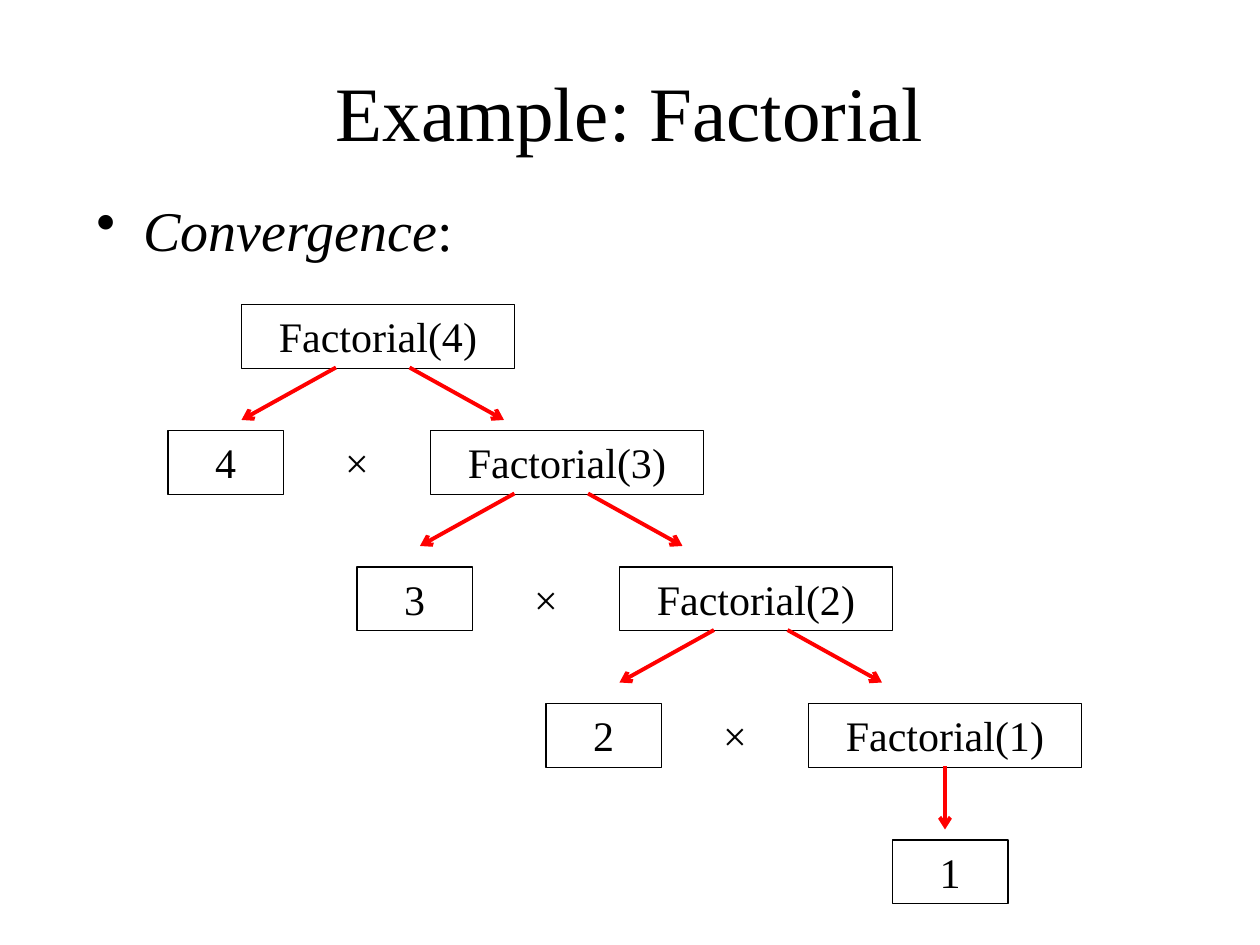
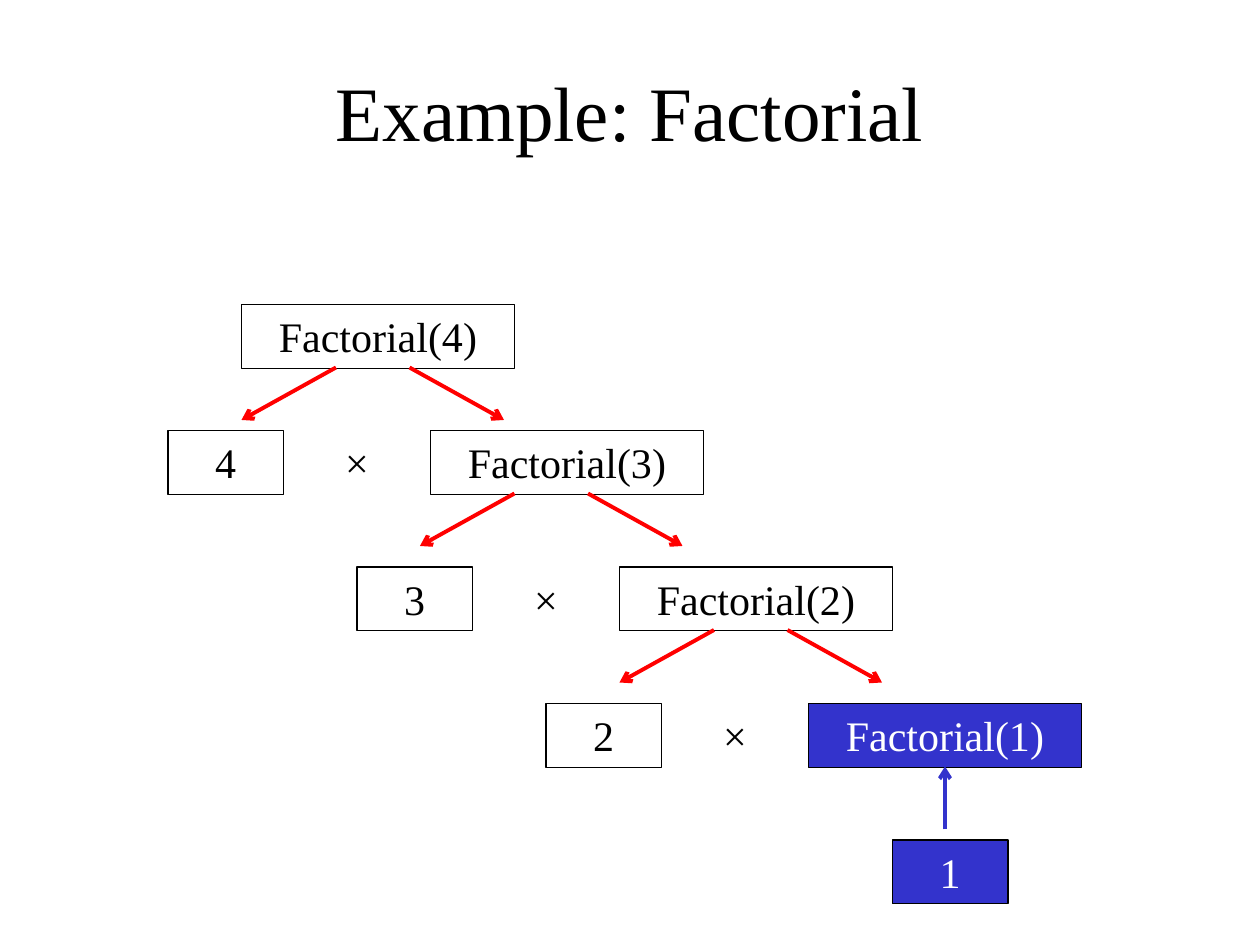
from dataclasses import dataclass

from lxml.etree import SubElement
from pptx import Presentation
from pptx.dml.color import RGBColor
from pptx.enum.shapes import MSO_CONNECTOR, MSO_SHAPE
from pptx.enum.text import MSO_ANCHOR, PP_ALIGN
from pptx.oxml.ns import qn
from pptx.shapes.base import BaseShape
from pptx.slide import Slide
from pptx.text.text import TextFrame
from pptx.util import Pt


@dataclass(frozen=True)
class Theme:
    font: str = "Times New Roman"
    ink: str = "000000"
    paper: str = "FFFFFF"
    call_arrow: str = "FF0000"
    returned: str = "3333CC"
    title_size: float = 44
    body_size: float = 32
    node_size: float = 24
    border: float = 0.75
    arrow: float = 2.25


@dataclass(frozen=True)
class Call:
    """One recursive call; fork_shift moves the arrows that leave its box."""
    number: int
    left: float
    top: float
    fork_shift: float = 0

    @property
    def label(self) -> str:
        return f"Factorial({self.number})"


THEME = Theme()
CALL_WIDTH, VALUE_WIDTH, TIMES_WIDTH, NODE_HEIGHT = 156, 66, 60, 36.5
CALL_STEP = 108
CALL_TOPS = (174, 246, 324, 402)
FORK_SHIFTS = {3: -6}
CALLS = [
    Call(4 - level, 138 + level * CALL_STEP, top, FORK_SHIFTS.get(4 - level, 0))
    for level, top in enumerate(CALL_TOPS)
]


def color(value: str) -> RGBColor:
    return RGBColor.from_string(value)


def write(frame: TextFrame, text: str, *, size: float = THEME.node_size,
          ink: str = THEME.ink, italic: bool = False,
          align: PP_ALIGN = PP_ALIGN.CENTER,
          anchor: MSO_ANCHOR = MSO_ANCHOR.TOP) -> None:
    """Append a formatted run to the first paragraph of the frame."""
    frame.word_wrap = True
    frame.vertical_anchor = anchor
    para = frame.paragraphs[0]
    para.alignment = align
    span = para.add_run()
    span.text = text
    span.font.name = THEME.font
    span.font.size = Pt(size)
    span.font.italic = italic
    span.font.color.rgb = color(ink)


def add_text_box(page: Slide, left: float, top: float, width: float,
                 height: float) -> BaseShape:
    return page.shapes.add_textbox(Pt(left), Pt(top), Pt(width), Pt(height))


def add_node(page: Slide, text: str, left: float, top: float, width: float,
             returned: bool = False) -> None:
    box = page.shapes.add_shape(MSO_SHAPE.RECTANGLE, Pt(left), Pt(top),
                                Pt(width), Pt(NODE_HEIGHT))
    box.shadow.inherit = False
    box.line.color.rgb = color(THEME.ink)
    box.line.width = Pt(THEME.border)
    if returned:
        box.fill.solid()
        box.fill.fore_color.rgb = color(THEME.returned)
    else:
        box.fill.background()
    write(box.text_frame, text, ink=THEME.paper if returned else THEME.ink)


def add_arrow(page: Slide, start: tuple[float, float], end: tuple[float, float],
              ink: str = THEME.call_arrow) -> None:
    arrow = page.shapes.add_connector(MSO_CONNECTOR.STRAIGHT,
                                      *(Pt(value) for value in start + end))
    arrow.line.color.rgb = color(ink)
    arrow.line.width = Pt(THEME.arrow)
    SubElement(arrow.line._get_or_add_ln(), qn("a:tailEnd"), type="arrow")
    SubElement(arrow._element.spPr, qn("a:effectLst"))


def add_fork(page: Slide, caller: Call) -> None:
    left, top = caller.left + caller.fork_shift, caller.top
    for start, end in ((54, 0), (96, 150)):
        add_arrow(page, (left + start, top + 36), (left + end, top + 66))


def add_product(page: Slide, caller: Call, call: Call, returned: bool) -> None:
    """Draw the caller's number times the next call, with arrows from the caller."""
    add_node(page, call.label, call.left, call.top, CALL_WIDTH, returned)
    add_node(page, str(caller.number), call.left - 150, call.top, VALUE_WIDTH)
    times = add_text_box(page, call.left - 72, call.top, TIMES_WIDTH, 36)
    write(times.text_frame, "×")
    add_fork(page, caller)


def add_base_case(page: Slide, call: Call, returned: bool) -> None:
    add_node(page, "1", call.left + 48, call.top + 78, VALUE_WIDTH, returned)
    center = call.left + CALL_WIDTH / 2
    upper, lower = (center, call.top + 36), (center, call.top + 72)
    if returned:
        add_arrow(page, lower, upper, THEME.returned)
    else:
        add_arrow(page, upper, lower)


def add_call_tree(page: Slide, returned: bool) -> None:
    first, last = CALLS[0], CALLS[-1]
    add_node(page, first.label, first.left, first.top, CALL_WIDTH)
    for caller, call in zip(CALLS, CALLS[1:]):
        add_product(page, caller, call, returned and call is last)
    add_base_case(page, last, returned)


def add_bullet(page: Slide) -> None:
    frame = add_text_box(page, 48, 108, 612, 60).text_frame
    write(frame, "Convergence", size=THEME.body_size, italic=True,
          align=PP_ALIGN.LEFT)
    write(frame, ":", size=THEME.body_size, align=PP_ALIGN.LEFT)
    properties = frame.paragraphs[0]._p.get_or_add_pPr()
    properties.set("marL", str(Pt(27)))
    properties.set("indent", str(Pt(-27)))
    SubElement(properties, qn("a:buChar"), char="•")


def add_page(deck: Presentation, title: str) -> Slide:
    page = deck.slides.add_slide(deck.slide_layouts[6])
    page.background.fill.solid()
    page.background.fill.fore_color.rgb = color(THEME.paper)
    heading = add_text_box(page, 54, 18, 612, 90)
    write(heading.text_frame, title, size=THEME.title_size,
          anchor=MSO_ANCHOR.MIDDLE)
    return page


def main() -> None:
    deck = Presentation()
    deck.slide_width, deck.slide_height = Pt(720), Pt(540)
    for returned in (False, True):
        page = add_page(deck, "Example: Factorial")
        if not returned:
            add_bullet(page)
        add_call_tree(page, returned)
    deck.save("out.pptx")


if __name__ == "__main__":
    main()
